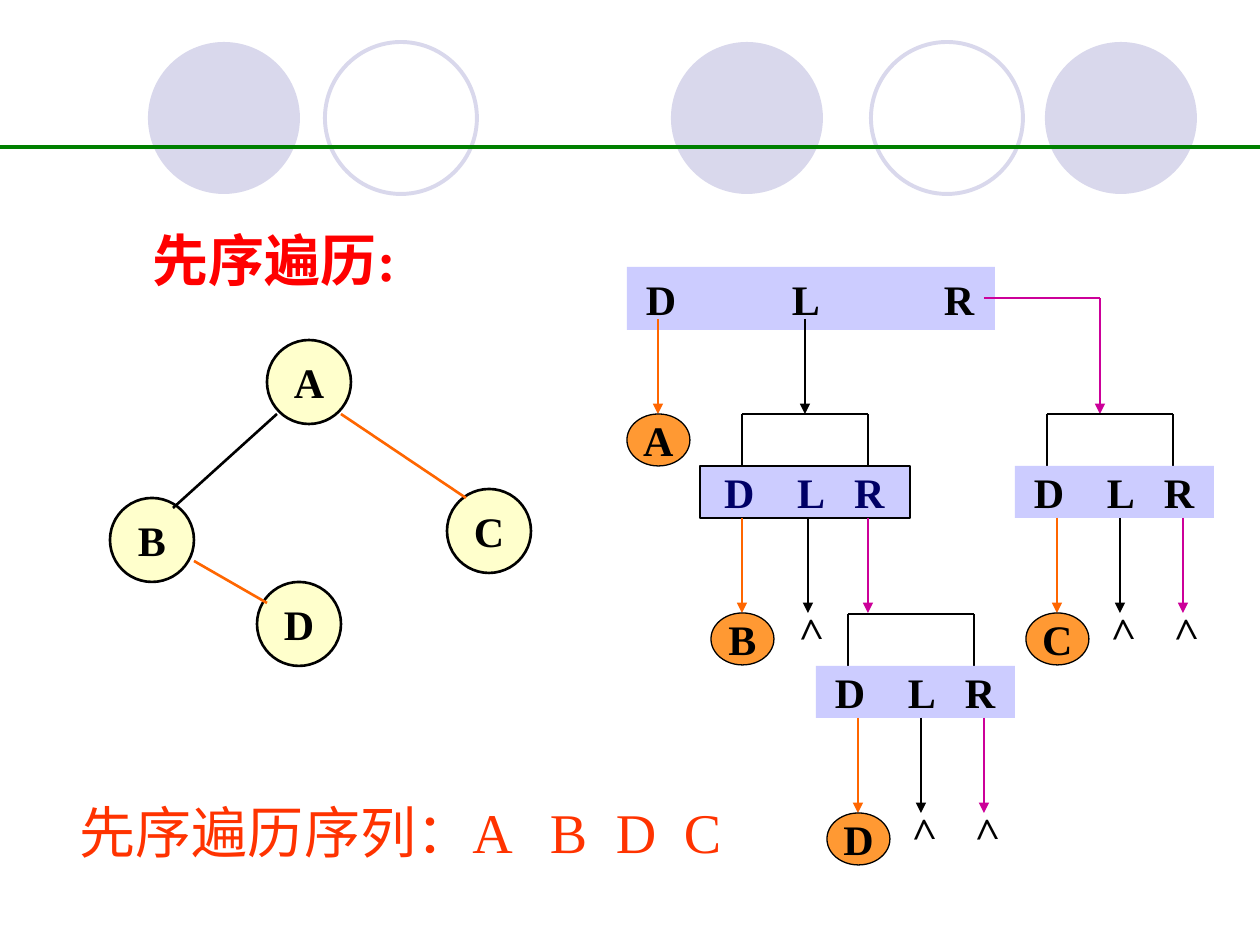
from pptx import Presentation
from pptx.dml.color import RGBColor
from pptx.enum.shapes import MSO_CONNECTOR, MSO_SHAPE
from pptx.enum.text import MSO_ANCHOR, PP_ALIGN
from pptx.oxml.ns import qn
from pptx.util import Inches, Pt
from lxml.etree import SubElement

PX = Inches(1) // 126
BLACK, ORANGE, MAGENTA = "000000", "FF6600", "CC0099"
LAVENDER, PALE = "CCCCFF", "D9D8EC"

presentation = Presentation()
presentation.slide_width = 1260 * PX
presentation.slide_height = 945 * PX
slide = presentation.slides.add_slide(presentation.slide_layouts[6])


def add_box(kind, left, top, width, height, text="", size=24, color=BLACK, bold=True,
            fill=None, line=None, line_width=0.75, tabs=(), inset=13, centered=True):
    """Add a preset shape, or a text box when kind is None; tabs count from the inset."""
    place = [value * PX for value in (left, top, width, height)]
    if kind is None:
        shape = slide.shapes.add_textbox(*place)
    else:
        shape = slide.shapes.add_shape(kind, *place)
        shape.shadow.inherit = False
        if fill:
            shape.fill.solid()
            shape.fill.fore_color.rgb = RGBColor.from_string(fill)
        else:
            shape.fill.background()
        if line:
            shape.line.color.rgb = RGBColor.from_string(line)
            shape.line.width = Pt(line_width)
        else:
            shape.line.fill.background()
    if text:
        frame = shape.text_frame
        frame.word_wrap = kind == MSO_SHAPE.RECTANGLE
        frame.margin_left, frame.margin_right = inset * PX, 0 if tabs else inset * PX
        frame.vertical_anchor = MSO_ANCHOR.TOP if kind is None else MSO_ANCHOR.MIDDLE
        paragraph = frame.paragraphs[0]
        paragraph.alignment = PP_ALIGN.CENTER if centered else PP_ALIGN.LEFT
        if tabs:
            tab_list = SubElement(paragraph._p.get_or_add_pPr(), qn("a:tabLst"))
            for position in tabs:
                SubElement(tab_list, qn("a:tab"), pos=str(position * PX), algn="l")
        run = paragraph.add_run()
        run.text = text
        run.font.name = "Times New Roman"
        run.font.size = Pt(size)
        run.font.bold = bold
        run.font.color.rgb = RGBColor.from_string(color)
    return shape


def add_line(x1, y1, x2, y2, color=BLACK, width=1.5, arrow=False):
    connector = slide.shapes.add_connector(
        MSO_CONNECTOR.STRAIGHT, x1 * PX, y1 * PX, x2 * PX, y2 * PX)
    connector.line.color.rgb = RGBColor.from_string(color)
    connector.line.width = Pt(width)
    if arrow:
        SubElement(connector.line._get_or_add_ln(), qn("a:tailEnd"), type="triangle")
    SubElement(connector._element.spPr, qn("a:effectLst"))


# Header band
for left in (671, 1045, 148):
    add_box(MSO_SHAPE.OVAL, left, 42, 152, 152, fill=PALE)
for left in (871, 325):
    add_box(MSO_SHAPE.OVAL, left, 42, 152, 152, line=PALE, line_width=2.25)
add_line(0, 147, 1260, 147, "008000", 2.5)

# Binary tree
for letter, left, top in (("A", 267, 340), ("D", 257, 582), ("B", 110, 498), ("C", 447, 489)):
    add_box(MSO_SHAPE.OVAL, left, top, 84, 84, letter,
            fill="FFFFCC", line=BLACK, line_width=1.5)
add_line(277, 414, 173, 508)
add_line(341, 414, 466, 498, ORANGE)
add_line(194, 561, 267, 603, ORANGE)

# Root call of the traversal
add_box(MSO_SHAPE.RECTANGLE, 627, 267, 368, 63, "D\tL\tR", fill=LAVENDER,
        tabs=(146, 298), inset=19, centered=False)
add_line(658, 319, 658, 414, ORANGE, arrow=True)
add_box(MSO_SHAPE.OVAL, 627, 414, 63, 52, "A", fill="FF9933", line=BLACK)
add_line(805, 319, 805, 414, arrow=True)
add_line(984, 298, 1100, 298, MAGENTA)
add_line(1100, 298, 1100, 414, MAGENTA, arrow=True)

# Recursive calls: letter, box, inset, text and outline colour, bracket, arrows, R is empty
calls = (
    ("B", 700, 466, 210, 24, "000066", BLACK, 742, (742, 808, 868), False),
    ("D", 816, 666, 199, 19, BLACK, None, 848, (858, 921, 984), True),
    ("C", 1015, 466, 199, 19, BLACK, None, 1047, (1057, 1120, 1183), True),
)
for letter, left, top, width, inset, color, outline, bracket, arrows, right_empty in calls:
    add_line(bracket, top - 52, bracket + 126, top - 52)
    for x in (bracket, bracket + 126):
        add_line(x, top - 52, x, top)
    add_box(MSO_SHAPE.RECTANGLE, left, top, width, 52, "D\tL\tR", color=color,
            fill=LAVENDER, line=outline, tabs=(73, 130), inset=inset, centered=False)
    for x, arrow_color in zip(arrows, (ORANGE, BLACK, MAGENTA)):
        add_line(x, top + 52, x, top + 147, arrow_color, arrow=True)
    add_box(MSO_SHAPE.OVAL, arrows[0] - 31, top + 147, 63, 52, letter,
            fill="FF9933", line=BLACK)
    for x in arrows[1:] if right_empty else arrows[1:2]:
        empty_mark = add_box(None, x - 26, top + 131, 53, 63, ">", centered=False)
        empty_mark.rotation = 268.3

# Result and title
add_box(None, 67, 791, 670, 81, "先序遍历序列：A\tB\tD\tC", 32, "FF3300", False,
        tabs=(470, 536, 604), centered=False)
add_box(None, 140, 219, 281, 81, "先序遍历:", 32, "FF0000", centered=False)

presentation.save("out.pptx")
